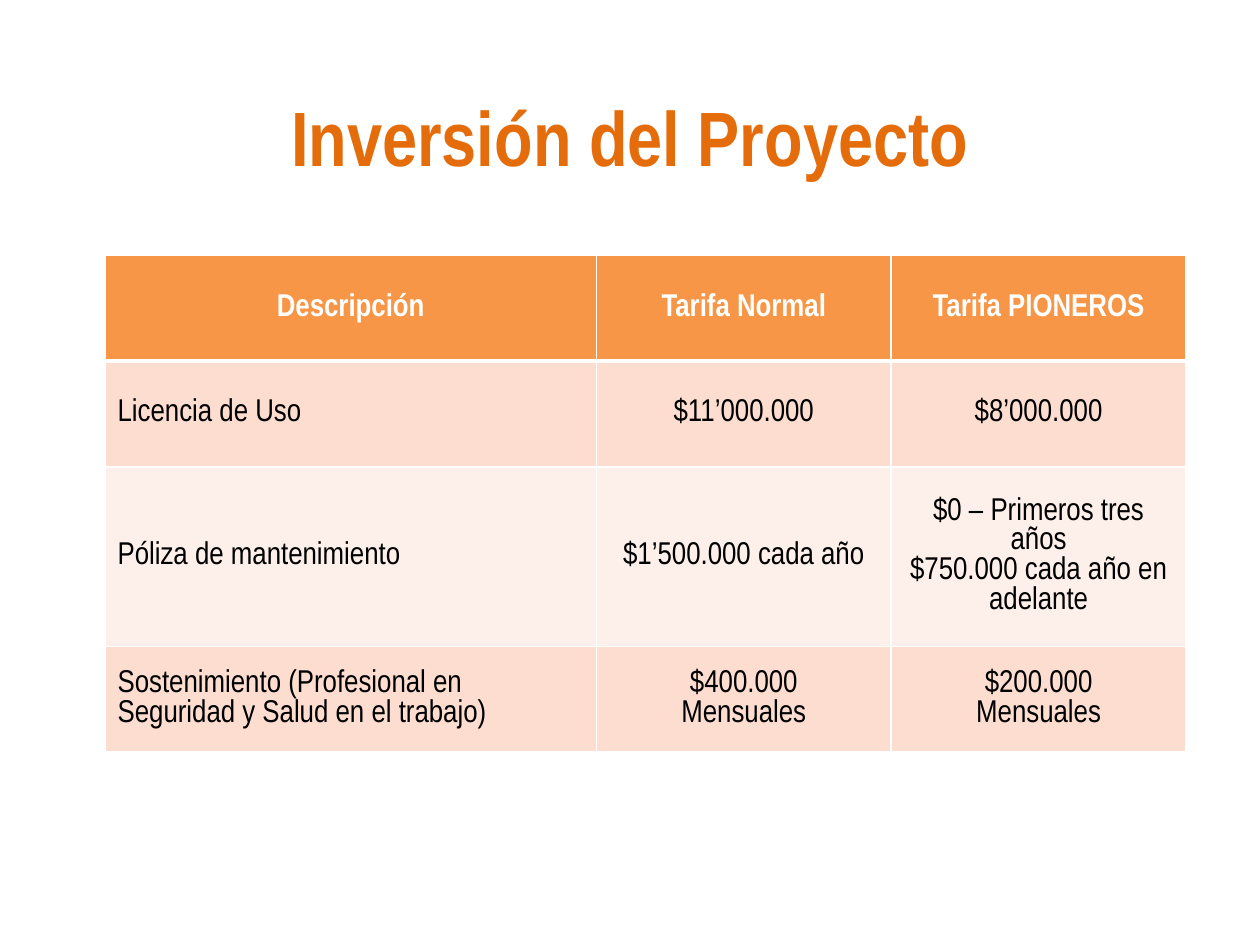
from lxml import etree
from pptx import Presentation
from pptx import util as u
from pptx.dml.color import RGBColor
from pptx.enum import text
from pptx.oxml.ns import qn

WHITE = RGBColor(0xFF, 0xFF, 0xFF)
BLACK = RGBColor(0x00, 0x00, 0x00)
TITLE_ORANGE = RGBColor(0xE4, 0x6C, 0x0A)
HEADER_ORANGE = RGBColor(0xF7, 0x96, 0x46)
BANDS = RGBColor(0xFC, 0xDD, 0xCF), RGBColor(0xFD, 0xEF, 0xE9)

RATES = [
    ["Descripción", "Tarifa Normal", "Tarifa PIONEROS"],
    ["Licencia de Uso", "$11’000.000", "$8’000.000"],
    ["Póliza de mantenimiento", "$1’500.000 cada año",
     "$0 – Primeros tres años\n$750.000 cada año en adelante"],
    ["Sostenimiento (Profesional en Seguridad y Salud en el trabajo)",
     "$400.000\nMensuales", "$200.000\nMensuales"],
]


class Deck:
    """Holds the style and the current slide; lengths are shares of the slide."""

    font = "Arial Narrow"

    def __init__(self, width, height):
        self.prs = Presentation()
        self.prs.slide_width, self.prs.slide_height = u.Inches(width), u.Inches(height)
        self.slide = self.prs.slides.add_slide(self.prs.slide_layouts[5])

    def x(self, share):
        return int(self.prs.slide_width * share)

    def y(self, share):
        return int(self.prs.slide_height * share)

    def set_text(self, tf, content, size, color, bold, align):
        tf.text = content
        for p in tf.paragraphs:
            p.alignment = align
            p.font.name, p.font.size, p.font.bold = self.font, u.Pt(size), bold
            p.font.color.rgb = color

    def title(self, content, left, top, width, height):
        sp = self.slide.shapes.title
        sp.left, sp.top = self.x(left), self.y(top)
        sp.width, sp.height = self.x(width), self.y(height)
        sp.text_frame.vertical_anchor = text.MSO_ANCHOR.MIDDLE
        self.set_text(sp.text_frame, content, 44, TITLE_ORANGE, True, text.PP_ALIGN.CENTER)

    def table(self, rows, left, top, widths, heights):
        frame = self.slide.shapes.add_table(
            len(rows), len(widths), self.x(left), self.y(top),
            self.x(sum(widths)), self.y(sum(heights)))
        table = frame.table
        for column, width in zip(table.columns, widths):
            column.width = self.x(width)
        for row, height in zip(table.rows, heights):
            row.height = self.y(height)
        for r, row in enumerate(rows):
            for c, content in enumerate(row):
                self.cell(table.cell(r, c), content, r, c)

    def cell(self, cell, content, r, c):
        header = r == 0
        cell.vertical_anchor = text.MSO_ANCHOR.MIDDLE
        cell.fill.solid()
        cell.fill.fore_color.rgb = HEADER_ORANGE if header else BANDS[(r - 1) % 2]
        centred = header or c > 0
        self.set_text(cell.text_frame, content, 18, WHITE if header else BLACK, header,
                      text.PP_ALIGN.CENTER if centred else text.PP_ALIGN.LEFT)
        self.borders(cell, top=3 if r == 1 else 1, bottom=3 if header else 1)

    def borders(self, cell, top, bottom):
        props = cell._tc.get_or_add_tcPr()
        sides = ("a:lnL", 1), ("a:lnR", 1), ("a:lnT", top), ("a:lnB", bottom)
        for i, (tag, points) in enumerate(sides):
            line = etree.Element(qn(tag), w=str(u.Pt(points)))
            fill = etree.SubElement(line, qn("a:solidFill"))
            etree.SubElement(fill, qn("a:srgbClr"), val=str(WHITE))
            props.insert(i, line)


def main():
    deck = Deck(10, 7.5)
    deck.title("Inversión del Proyecto", 0.05, 0.06, 0.9, 1 / 6)
    deck.table(RATES, 1 / 12, 0.27, [0.39, 0.234, 0.234], [0.112, 0.112, 0.19, 0.112])
    deck.prs.save("out.pptx")


if __name__ == "__main__":
    main()
